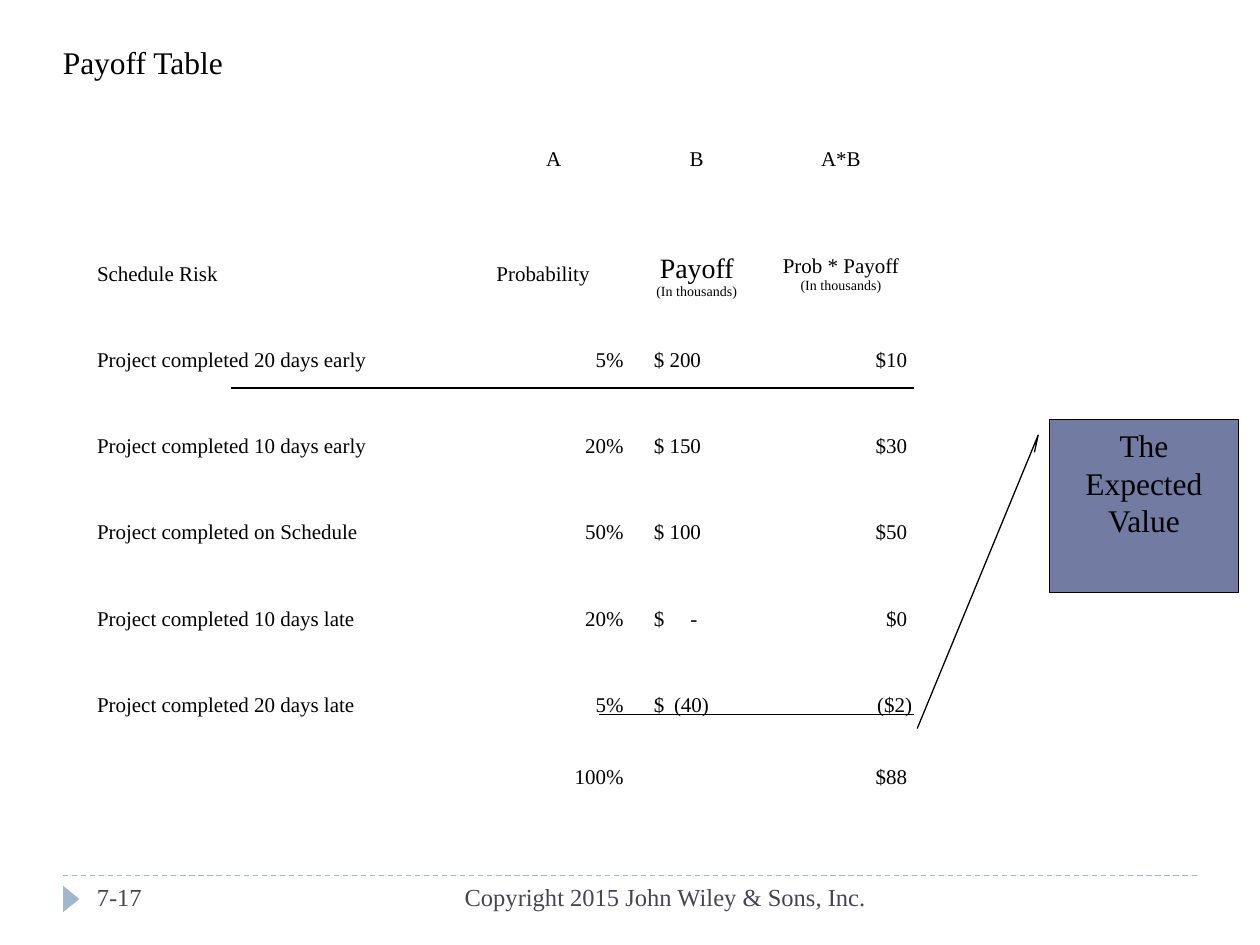
from lxml import etree
from pptx import Presentation
from pptx.dml.color import RGBColor
from pptx.enum.dml import MSO_LINE
from pptx.enum.shapes import MSO_CONNECTOR, MSO_SHAPE
from pptx.enum.text import MSO_ANCHOR, PP_ALIGN
from pptx.oxml.ns import qn
from pptx.util import Inches, Pt

LEFT, CENTER, RIGHT = PP_ALIGN.LEFT, PP_ALIGN.CENTER, PP_ALIGN.RIGHT
TOP, BOTTOM = MSO_ANCHOR.TOP, MSO_ANCHOR.BOTTOM
STRAIGHT, DASH = MSO_CONNECTOR.STRAIGHT, MSO_LINE.DASH
TRIANGLE, CALLOUT = MSO_SHAPE.ISOSCELES_TRIANGLE, MSO_SHAPE.LINE_CALLOUT_2

FONT = "Times New Roman"
COLORS = {"ink": "000000", "footer": "464653", "accent": "9FB8CD", "callout": "727CA3"}

COL_WIDTHS = [3.07, 1.31, 0.96, 1.33]
ROW_HEIGHTS = [0.53, 0.91] + [(5.89 - 2.47) / 5] * 5 + [0.53]
HEADERS = [
    ["", "A", "B", "A*B"],
    ["Schedule Risk", "Probability", "Payoff\n(In thousands)", "Prob * Payoff\n(In thousands)"],
]
OUTCOMES = [
    ["Project completed 20 days early", "5%", "$ 200", "$10"],
    ["Project completed 10 days early", "20%", "$ 150", "$30"],
    ["Project completed on Schedule", "50%", "$ 100", "$50"],
    ["Project completed 10 days late", "20%", "$\t-", "$0"],
    ["Project completed 20 days late", "5%", "$\t(40)", "($2)"],
    ["", "100%", "", "$88"],
]
TAB_STOPS = {"$\t-": 0.29, "$\t(40)": 0.16}


def rgb(name):
    return RGBColor.from_string(COLORS[name])


def write(tf, text, sizes=(12,), color="ink", align=LEFT, tab=None):
    """Write one paragraph per line; the last size serves any further lines."""
    for i, line in enumerate(text.split("\n")):
        p = tf.paragraphs[0] if i == 0 else tf.add_paragraph()
        p.alignment = align
        if tab:
            tabs = etree.SubElement(p._p.get_or_add_pPr(), qn("a:tabLst"))
            etree.SubElement(tabs, qn("a:tab"), pos=str(Inches(tab)), algn="l")
        r = p.add_run()
        r.text = line
        r.font.name = FONT
        r.font.size = Pt(sizes[min(i, len(sizes) - 1)])
        r.font.color.rgb = rgb(color)


class SlideBuilder:
    """Holds the current slide and the style shared by its elements."""

    line_width = Pt(0.75)

    def __init__(self, slide):
        self.shapes = slide.shapes

    def text(self, x, y, w, h, text, wrap=True, **fmt):
        tf = self.shapes.add_textbox(Inches(x), Inches(y), Inches(w), Inches(h)).text_frame
        tf.word_wrap = wrap
        write(tf, text, **fmt)

    def line(self, x1, x2, y, color="ink", dash=None):
        s = self.shapes.add_connector(STRAIGHT, Inches(x1), Inches(y), Inches(x2), Inches(y))
        s.line.color.rgb = rgb(color)
        s.line.width = self.line_width
        if dash:
            s.line.dash_style = dash
        etree.SubElement(s._element.spPr, qn("a:effectLst"))

    def shape(self, kind, x, y, w, h, fill, border=None):
        s = self.shapes.add_shape(kind, Inches(x), Inches(y), Inches(w), Inches(h))
        s.shadow.inherit = False
        s.fill.solid()
        s.fill.fore_color.rgb = rgb(fill)
        if border:
            s.line.color.rgb = rgb(border)
            s.line.width = self.line_width
        else:
            s.line.fill.background()
        return s

    def callout(self, x, y, w, h, text, points):
        s = self.shape(CALLOUT, x, y, w, h, "callout", border="ink")
        for i, value in enumerate(points):
            s.adjustments[i] = value
        s.text_frame.vertical_anchor = TOP
        write(s.text_frame, text, sizes=(18,), align=CENTER)

    def table(self, x, y, widths, heights):
        table = self.shapes.add_table(len(heights), len(widths), Inches(x), Inches(y),
                                      Inches(sum(widths)), Inches(sum(heights))).table
        table.first_row = table.horz_banding = False
        for column, width in zip(table.columns, widths):
            column.width = Inches(width)
        for row, height in zip(table.rows, heights):
            row.height = Inches(height)
        return table

    def cell(self, cell, text, left=0.1, right=0.1, bottom=0.24, **fmt):
        cell.fill.background()
        cell.vertical_anchor = BOTTOM
        cell.margin_left, cell.margin_right = Inches(left), Inches(right)
        cell.margin_top, cell.margin_bottom = Inches(0.05), Inches(bottom)
        write(cell.text_frame, text, **fmt)


def header_format(text, col):
    fmt = {"align": CENTER if col else LEFT}
    if text == "Probability":
        fmt["right"] = 0.27
    elif text.startswith("Payoff"):
        fmt.update(sizes=(16, 8), left=0, right=0, bottom=0.13)
    elif text.startswith("Prob *"):
        fmt.update(sizes=(12, 8), bottom=0.18)
    return fmt


def outcome_format(text, col):
    fmt = {"align": RIGHT if col in (1, 3) else LEFT}
    if col == 2:
        fmt.update(left=0.14, tab=TAB_STOPS.get(text))
    elif col == 3 and not text.startswith("("):
        fmt["right"] = 0.14  # room for a closing bracket
    return fmt


def main():
    prs = Presentation()
    prs.slide_width, prs.slide_height = Inches(10), Inches(7.5)
    b = SlideBuilder(prs.slides.add_slide(prs.slide_layouts[6]))

    b.line(0.5, 9.5, 6.95, color="accent", dash=DASH)
    b.shape(TRIANGLE, 0.46, 7.07, 0.21, 0.13, "accent").rotation = 90

    table = b.table(0.67, 1.03, COL_WIDTHS, ROW_HEIGHTS)
    for row, texts in enumerate(HEADERS + OUTCOMES):
        format_for = header_format if row < len(HEADERS) else outcome_format
        for col, text in enumerate(texts):
            b.cell(table.cell(row, col), text, **format_for(text, col))

    b.text(0.4, 0.29, 1.5, 0.4, "Payoff Table", wrap=False, sizes=(18,))
    b.callout(8.33, 3.33, 1.5, 1.37, "The\nExpected\nValue",
              points=[0.19, -0.08, 0.09, -0.06, 1.79, -0.7])
    b.line(4.75, 7.25, 5.67)
    b.line(1.83, 7.25, 3.08)

    footer = {"sizes": (14,), "color": "footer"}
    b.text(0.67, 6.95, 2.17, 0.4, "7-17", **footer)
    b.text(3.17, 6.95, 3.8, 0.4, "Copyright 2015 John Wiley & Sons, Inc.", align=RIGHT, **footer)

    prs.save("out.pptx")


if __name__ == "__main__":
    main()
